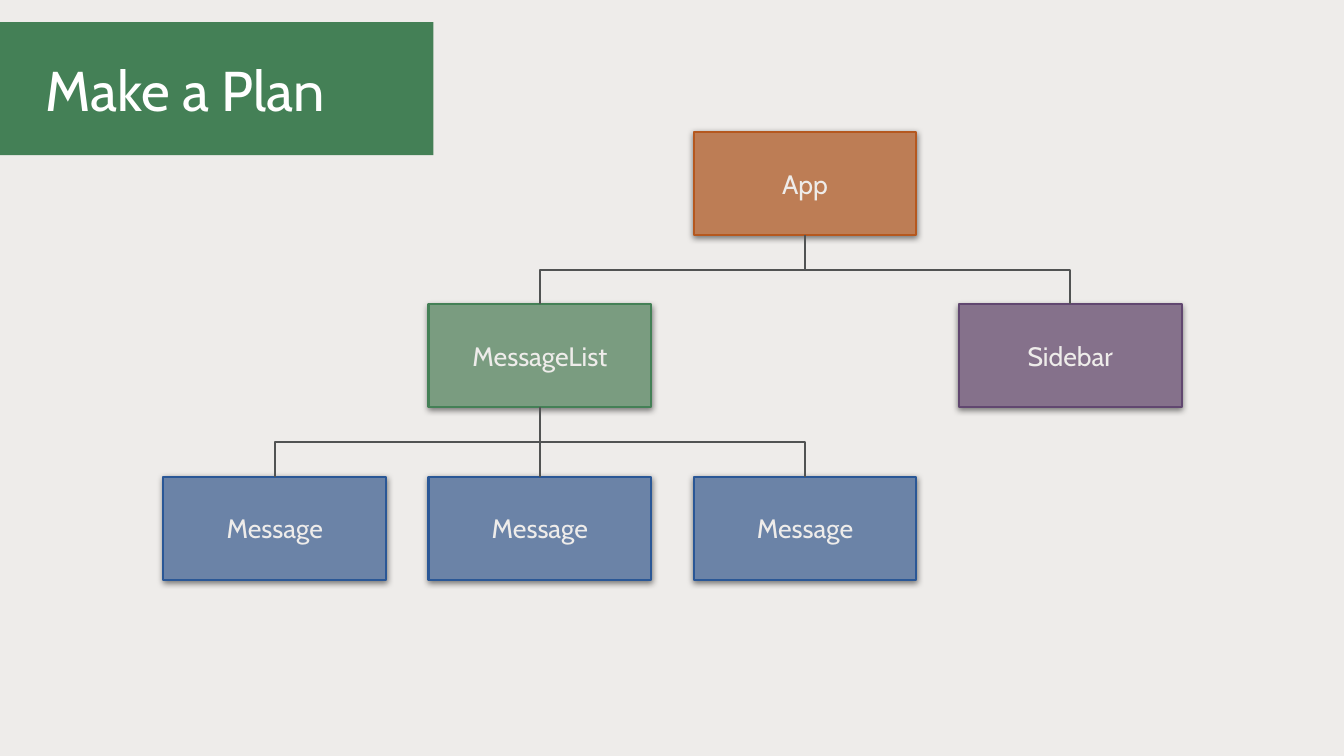
from lxml.etree import SubElement
from pptx import Presentation
from pptx.dml.color import RGBColor
from pptx.enum.shapes import MSO_CONNECTOR, MSO_SHAPE
from pptx.enum.text import MSO_ANCHOR, PP_ALIGN
from pptx.oxml.ns import qn
from pptx.util import Inches, Pt

TITLE = "Make a Plan"
FONT = "Cabin"
PAPER, GREEN, WIRE, WHITE = "EEECEA", "448056", "515353", "FFFFFF"

# key: (label, column, row, fill, outline, parent key)
NODES = {
    "app": ("App", 2, 0, "BD7D55", "B5581F", None),
    "list": ("MessageList", 1, 1, "7A9C80", GREEN, "app"),
    "sidebar": ("Sidebar", 3, 1, "85718B", "614770", "app"),
    "first": ("Message", 0, 2, "6B83A7", "2A5796", "list"),
    "second": ("Message", 1, 2, "6B83A7", "2A5796", "list"),
    "third": ("Message", 2, 2, "6B83A7", "2A5796", "list"),
}
LEFT, TOP = 1.62, 1.31
COL_STEP, ROW_STEP = 2.63, 1.71
NODE_W, NODE_H = 2.21, 1.02
INSET = 0.13


def rgb(color):
    return RGBColor.from_string(color)


def write(sp, text, size, color, align):
    tf = sp.text_frame
    tf.word_wrap = True
    tf.vertical_anchor = MSO_ANCHOR.MIDDLE
    tf.margin_left = tf.margin_right = Inches(INSET)
    tf.margin_top = tf.margin_bottom = Inches(INSET)
    p = tf.paragraphs[0]
    p.alignment = align
    r = p.add_run()
    r.text = text
    r.font.name, r.font.size = FONT, Pt(size)
    r.font.color.rgb = rgb(color)


def add_rect(slide, x, y, w, h, fill):
    sp = slide.shapes.add_shape(MSO_SHAPE.RECTANGLE, Inches(x), Inches(y), Inches(w), Inches(h))
    sp.shadow.inherit = False
    sp.fill.solid()
    sp.fill.fore_color.rgb = rgb(fill)
    return sp


def add_shadow(sp):
    """Give the shape a soft, half-transparent shadow straight below it."""
    effects = sp._element.spPr.find(qn("a:effectLst"))
    shadow = SubElement(effects, qn("a:outerShdw"), blurRad=str(Pt(4.5)),
                        dist=str(Pt(1.5)), dir="5400000", rotWithShape="0")
    black = SubElement(shadow, qn("a:srgbClr"), val="000000")
    SubElement(black, qn("a:alpha"), val="50000")


def add_node(slide, label, col, row, fill, outline):
    sp = add_rect(slide, LEFT + col * COL_STEP, TOP + row * ROW_STEP, NODE_W, NODE_H, fill)
    sp.line.color.rgb = rgb(outline)
    sp.line.width = Pt(1.5)
    add_shadow(sp)
    write(sp, label, 19, PAPER, PP_ALIGN.CENTER)
    return sp


def add_branch(slide, parent, child):
    """Join parent to child with an elbow turned to leave and arrive vertically."""
    c = slide.shapes.add_connector(MSO_CONNECTOR.ELBOW, 0, 0, 0, 0)
    c.begin_connect(parent, 2)
    c.end_connect(child, 0)
    span, drop = c.width, c.height
    c.left, c.top = c.left + (span - drop) // 2, c.top + (drop - span) // 2
    c.width, c.height = drop, span
    xfrm = c._element.spPr.find(qn("a:xfrm"))
    goes_left = child.left < parent.left
    xfrm.set("rot", str((90 if goes_left else 270) * 60000))
    xfrm.set("flipH", "0" if goes_left else "1")
    c.line.color.rgb = rgb(WIRE)
    c.line.width = Pt(1.5)
    SubElement(c._element.spPr, qn("a:effectLst"))


def main():
    prs = Presentation()
    prs.slide_width, prs.slide_height = Inches(13.33), Inches(7.5)
    slide = prs.slides.add_slide(prs.slide_layouts[6])
    slide.background.fill.solid()
    slide.background.fill.fore_color.rgb = rgb(PAPER)

    shapes = {key: add_node(slide, *node[:5]) for key, node in NODES.items()}
    for key, (*_, parent) in NODES.items():
        if parent:
            add_branch(slide, shapes[parent], shapes[key])

    add_rect(slide, 0, 0.22, 4.3, 1.32, GREEN).line.fill.background()
    title = slide.shapes.add_textbox(Inches(0.32), Inches(0.41), Inches(3.93), Inches(0.94))
    write(title, TITLE, 40, WHITE, PP_ALIGN.LEFT)
    prs.save("out.pptx")


if __name__ == "__main__":
    main()
